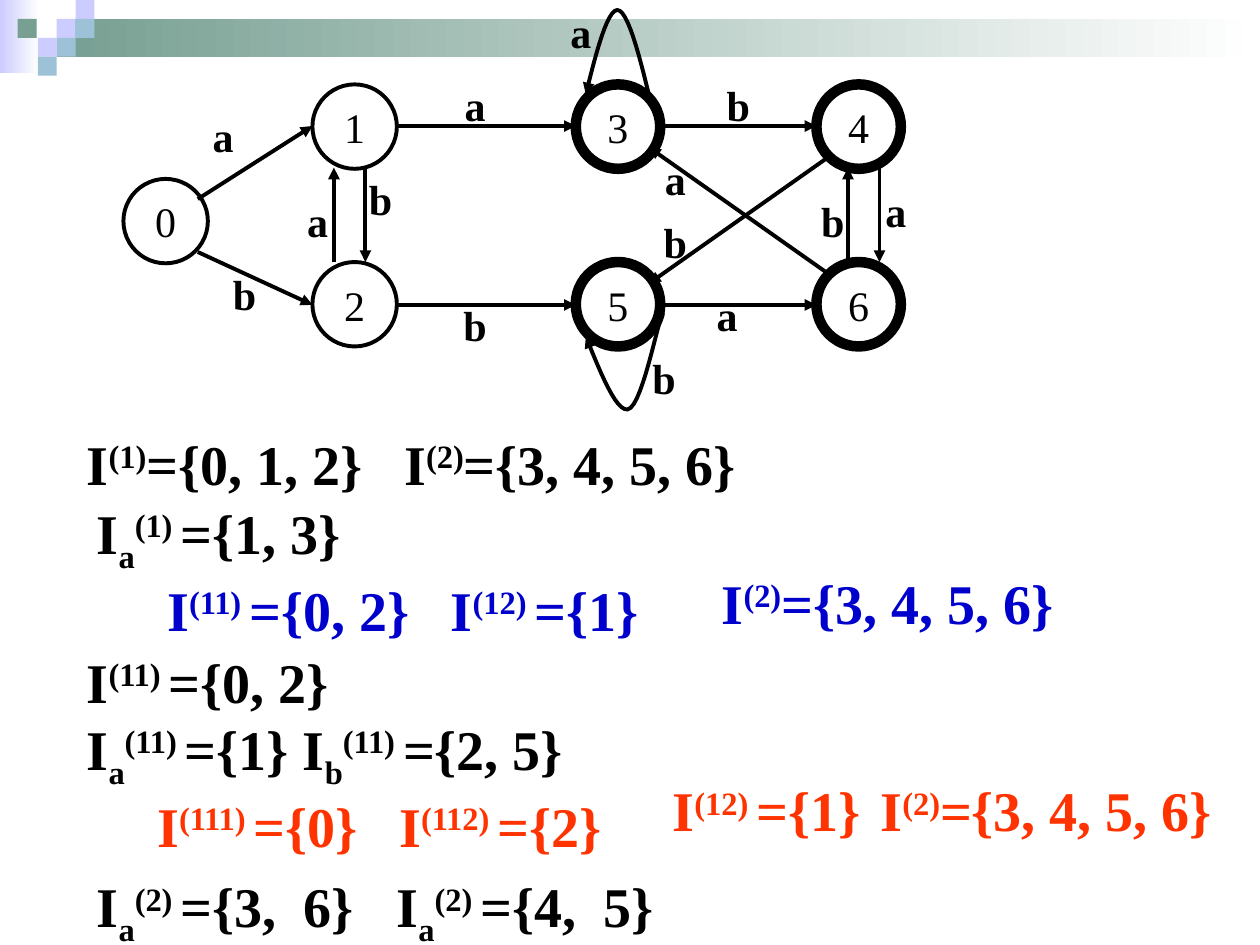
from lxml.etree import SubElement
from pptx import Presentation
from pptx.dml.color import RGBColor
from pptx.enum.shapes import MSO_CONNECTOR, MSO_SHAPE
from pptx.enum.text import MSO_ANCHOR, PP_ALIGN
from pptx.oxml.ns import qn
from pptx.util import Inches, Pt

BLACK = RGBColor(0x00, 0x00, 0x00)
WHITE = RGBColor(0xFF, 0xFF, 0xFF)
LAVENDER = RGBColor(0xCC, 0xCC, 0xFF)
SAGE = RGBColor(0x77, 0x9F, 0x92)
SKY = RGBColor(0x9D, 0xC2, 0xD7)
BLUE = RGBColor(0x00, 0x00, 0xCC)
RED = RGBColor(0xFF, 0x33, 0x00)
FONT = "Times New Roman"


def style_arrow(line):
    line.color.rgb = BLACK
    line.width = Pt(2.25)
    SubElement(line._get_or_add_ln(), qn("a:tailEnd"), type="triangle")


def center_text(shape, text, bold):
    frame = shape.text_frame
    frame.word_wrap = False
    frame.vertical_anchor = MSO_ANCHOR.MIDDLE
    paragraph = frame.paragraphs[0]
    paragraph.text = text
    paragraph.alignment = PP_ALIGN.CENTER
    paragraph.font.name = FONT
    paragraph.font.size = Pt(24)
    paragraph.font.bold = bold
    paragraph.font.color.rgb = BLACK


presentation = Presentation()
presentation.slide_width = Inches(10)
presentation.slide_height = Inches(7.5)
slide = presentation.slides.add_slide(presentation.slide_layouts[6])
shapes = slide.shapes

header = [
    (0, 0, 0.31, 0.58, LAVENDER, True),
    (0.45, 0.15, 9.55, 0.3, SAGE, True),
    (0.45, 0.15, 0.15, 0.15, LAVENDER, False),
    (0.6, 0, 0.15, 0.15, LAVENDER, False),
    (0.6, 0.15, 0.15, 0.15, SKY, False),
    (0.3, 0.3, 0.15, 0.15, LAVENDER, False),
    (0.14, 0.15, 0.15, 0.15, SAGE, False),
    (0.45, 0.3, 0.15, 0.15, SKY, False),
    (0.3, 0.45, 0.15, 0.15, SKY, False),
]
for left, top, width, height, color, fades in header:
    block = shapes.add_shape(
        MSO_SHAPE.RECTANGLE, Inches(left), Inches(top), Inches(width), Inches(height)
    )
    block.shadow.inherit = False
    block.line.fill.background()
    if fades:
        block.fill.gradient()
        block.fill.gradient_angle = 180
        for stop, stop_color in zip(block.fill.gradient_stops, (WHITE, color)):
            stop.color.rgb = stop_color
    else:
        block.fill.solid()
        block.fill.fore_color.rgb = color

states = [
    ("0", 0.98, 1.42, 2.25),
    ("1", 2.48, 0.67, 2.25),
    ("2", 2.48, 2.08, 2.25),
    ("3", 4.57, 0.67, 6),
    ("5", 4.57, 2.08, 6),
    ("4", 6.48, 0.67, 6),
    ("6", 6.48, 2.08, 6),
]
for name, left, top, weight in states:
    state = shapes.add_shape(
        MSO_SHAPE.OVAL, Inches(left), Inches(top), Inches(0.67), Inches(0.67)
    )
    state.shadow.inherit = False
    state.fill.background()
    state.line.color.rgb = BLACK
    state.line.width = Pt(weight)
    center_text(state, name, False)

transitions = [
    (1.57, 1.58, 2.48, 1),
    (3.15, 1, 4.57, 1),
    (5.23, 1, 6.48, 1),
    (1.57, 2, 2.48, 2.42),
    (3.15, 2.42, 4.57, 2.42),
    (5.23, 2.42, 6.48, 2.42),
    (2.9, 1.33, 2.9, 2.08),
    (2.65, 2.08, 2.65, 1.33),
    (6.73, 2.08, 6.73, 1.33),
    (6.98, 1.33, 6.98, 2.08),
    (6.57, 1.25, 5.15, 2.25),
    (6.57, 2.17, 5.15, 1.17),
]
for ends in transitions:
    connector = shapes.add_connector(MSO_CONNECTOR.STRAIGHT, *map(Inches, ends))
    style_arrow(connector.line)
    SubElement(connector._element.spPr, qn("a:effectLst"))

self_loops = [
    [(5.15, 0.75), (5.07, 0.42), (4.98, 0.08), (4.9, 0.08),
     (4.82, 0.08), (4.73, 0.42), (4.65, 0.75)],
    [(5.23, 2.5), (5.26, 2.48), (5.28, 2.46), (5.23, 2.58), (5.19, 2.71),
     (5.08, 3.24), (4.98, 3.25), (4.89, 3.26), (4.77, 2.97), (4.65, 2.67)],
]
STEPS = 12
for controls in self_loops:
    points = []
    for first in range(0, len(controls) - 1, 3):
        curve = controls[first:first + 4]
        for step in range(1, STEPS + 1):
            t = step / STEPS
            weights = ((1 - t) ** 3, 3 * t * (1 - t) ** 2, 3 * t ** 2 * (1 - t), t ** 3)
            points.append(tuple(
                Inches(sum(w * point[axis] for w, point in zip(weights, curve)))
                for axis in (0, 1)
            ))
    builder = shapes.build_freeform(*map(Inches, controls[0]))
    builder.add_line_segments(points, close=False)
    loop = builder.convert_to_shape()
    loop.shadow.inherit = False
    loop.fill.background()
    style_arrow(loop.line)

labels = [
    ("a", 1.48, 0.83), ("a", 3.48, 0.58), ("b", 5.57, 0.58), ("b", 1.65, 2.08),
    ("b", 3.48, 2.33), ("a", 5.48, 2.25), ("b", 2.73, 1.33), ("a", 2.23, 1.5),
    ("a", 6.82, 1.42), ("b", 6.32, 1.5), ("a", 5.07, 1.17), ("b", 5.07, 1.67),
    ("a", 4.32, 0), ("b", 4.98, 2.75),
]
for text, left, top in labels:
    label = shapes.add_textbox(Inches(left), Inches(top), Inches(0.58), Inches(0.5))
    center_text(label, text, True)

BASELINES = {"^": "30000", "_": "-25000"}
formulas = [
    (0.59, 3.36, 5.75, 0.64, [
        ("I|^(1)|={0, 1, 2}\tI|^(2)|={3, 4, 5, 6}", BLACK, [2.52]),
    ]),
    (0.67, 3.91, 8.6, 1.24, [
        ("I|_a|^(1) |={1, 3}", BLACK, []),
        ("\tI|^(11) |={0, 2}\tI|^(12) |={1}", BLUE, [0.56, 2.81]),
    ]),
    (5.63, 4.46, 3.07, 0.64, [("I|^(2)|={3, 4, 5, 6}", BLUE, [])]),
    (0.59, 5.09, 8.6, 1.78, [
        ("I|^(11) |={0, 2}", BLACK, []),
        ("I|_a|^(11) |={1} I|_b|^(11) |={2, 5}", BLACK, []),
        ("\tI|^(111) |={0}\tI|^(112) |={2}", RED, [0.56, 2.48]),
    ]),
    (5.24, 6.11, 4.57, 0.64, [
        ("I|^(12) |={1}\tI|^(2)|={3, 4, 5, 6}", RED, [1.65]),
    ]),
    (0.67, 6.87, 6.3, 0.71, [
        ("I|_a|^(2) |={3,\t6}\tI|_a|^(2) |={4,\t5}", BLACK, [1.64, 2.38, 4.02]),
    ]),
]
for left, top, width, height, lines in formulas:
    box = shapes.add_textbox(Inches(left), Inches(top), Inches(width), Inches(height))
    frame = box.text_frame
    frame.word_wrap = True
    for index, (markup, color, stops) in enumerate(lines):
        paragraph = frame.add_paragraph() if index else frame.paragraphs[0]
        if stops:
            tabs = SubElement(paragraph._p.get_or_add_pPr(), qn("a:tabLst"))
            for stop in stops:
                SubElement(tabs, qn("a:tab"), pos=str(Inches(stop)), algn="l")
        paragraph.font.name = FONT
        paragraph.font.size = Pt(32)
        paragraph.font.bold = True
        paragraph.font.color.rgb = color
        for piece in markup.split("|"):
            run = paragraph.add_run()
            run.text = piece.lstrip("^_")
            if piece[0] in BASELINES:
                run._r.get_or_add_rPr().set("baseline", BASELINES[piece[0]])

presentation.save("out.pptx")
